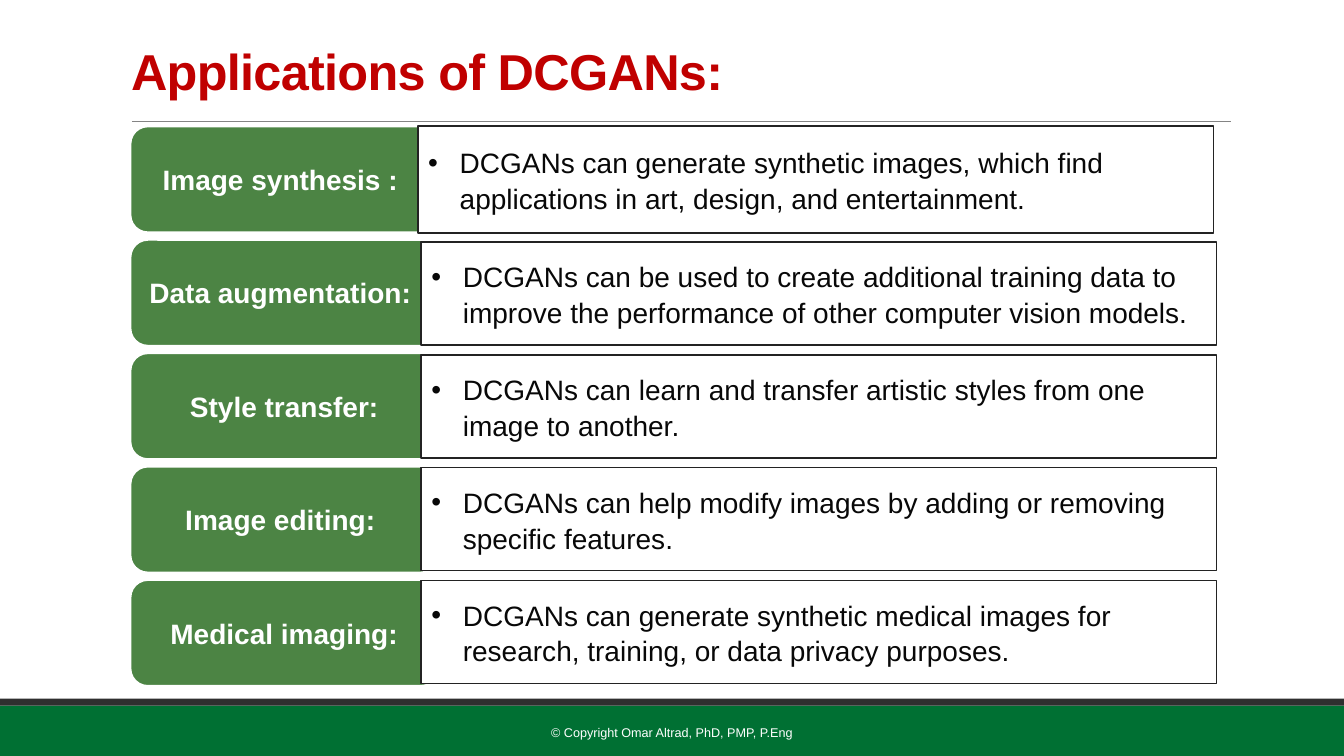
from lxml import etree
from pptx import Presentation
from pptx.dml.color import RGBColor
from pptx.enum import shapes, text
from pptx.oxml import ns
from pptx.util import Pt

TITLE = "Applications of DCGANs:"
COPYRIGHT = "© Copyright Omar Altrad, PhD, PMP, P.Eng"
APPLICATIONS = [
    ("Image synthesis : ", "DCGANs can generate synthetic images, which find applications in art, design, and entertainment."),
    ("Data augmentation: ", "DCGANs can be used to create additional training data to improve the performance of other computer vision models."),
    ("Style transfer:", "DCGANs can learn and transfer artistic styles from one image to another."),
    ("Image editing: ", "DCGANs can help modify images by adding or removing specific features."),
    ("Medical imaging:", "DCGANs can generate synthetic medical images for research, training, or data privacy purposes."),
]
WIDTH, HEIGHT = 960, 540
LABEL_LEFT, LABEL_TOP, LABEL_WIDTH, LABEL_HEIGHT, LABEL_PITCH = 92.9, 90, 220.3, 76.3, 81
USE_LEFT, USE_TOP, USE_WIDTH, USE_HEIGHT, USE_PITCH = 301, 92.1, 568, 73.6, 80.64
FIRST_USE = (298.8, 90, USE_WIDTH, LABEL_HEIGHT)
BULLET_INDENT = 22.5


def color(value):
    return RGBColor.from_string(value)


def place(shape, bounds):
    shape.left, shape.top, shape.width, shape.height = map(Pt, bounds)


def write(shape, words, size, ink, bold=False, align=text.PP_ALIGN.LEFT):
    frame = shape.text_frame
    frame.word_wrap = True
    frame.vertical_anchor = text.MSO_ANCHOR.MIDDLE
    para = frame.paragraphs[0]
    para.text = words
    para.alignment = align
    para.font.name = "Arial"
    para.font.size = Pt(size)
    para.font.bold = bold
    para.font.color.rgb = color(ink)
    return para


def add_box(page, kind, bounds, fill, line=None, line_width=0):
    box = page.shapes.add_shape(kind, *map(Pt, bounds))
    box.shadow.inherit = False
    box.fill.solid()
    box.fill.fore_color.rgb = color(fill)
    if line:
        box.line.color.rgb = color(line)
        box.line.width = Pt(line_width)
    else:
        box.line.fill.background()
    return box


def add_bullet(para):
    props = para._p.get_or_add_pPr()
    props.set("marL", str(Pt(BULLET_INDENT)))
    props.set("indent", str(-Pt(BULLET_INDENT)))
    bullet_font = etree.Element(ns.qn("a:buFont"), typeface="Arial")
    bullet = etree.Element(ns.qn("a:buChar"), char="•")
    spacing = props.find(ns.qn("a:lnSpc"))
    spacing.addnext(bullet_font)
    bullet_font.addnext(bullet)


def add_frame(page):
    rect = shapes.MSO_SHAPE.RECTANGLE
    add_box(page, rect, (0, 504, WIDTH, 36), "007033")
    add_box(page, rect, (0, 499, WIDTH, 5), "2F2F2F")
    rule = page.shapes.add_connector(
        shapes.MSO_CONNECTOR.STRAIGHT, Pt(94.3), Pt(86.6), Pt(879), Pt(86.6))
    rule.line.color.rgb = color("848484")
    rule.line.width = Pt(0.5)
    etree.SubElement(rule._element.spPr, ns.qn("a:effectLst"))
    footer = page.shapes.add_textbox(Pt(290.2), Pt(508.5), Pt(379.4), Pt(28.8))
    write(footer, COPYRIGHT, 9, "FFFFFF", align=text.PP_ALIGN.CENTER)


def add_title(page):
    title = page.shapes.title
    place(title, (86.4, 22.3, 792, 62))
    para = write(title, TITLE, 36, "C00000", bold=True)
    para.line_spacing = 0.85
    para.runs[0].font._element.set("spc", "-50")


def add_application(page, row, name, use):
    label_bounds = (LABEL_LEFT, LABEL_TOP + row * LABEL_PITCH, LABEL_WIDTH, LABEL_HEIGHT)
    label = add_box(page, shapes.MSO_SHAPE.ROUNDED_RECTANGLE, label_bounds, "4C8444", "FFFFFF", 2)
    write(label, name, 20, "FFFFFF", bold=True, align=text.PP_ALIGN.CENTER)
    use_bounds = (USE_LEFT, USE_TOP + row * USE_PITCH, USE_WIDTH, USE_HEIGHT) if row else FIRST_USE
    box = add_box(page, shapes.MSO_SHAPE.RECTANGLE, use_bounds, "FFFFFF", "232323", 1.25)
    para = write(box, use, 20, "080808")
    para.line_spacing = 1.06
    add_bullet(para)


def main():
    deck = Presentation()
    deck.slide_width, deck.slide_height = Pt(WIDTH), Pt(HEIGHT)
    page = deck.slides.add_slide(deck.slide_layouts[5])
    add_frame(page)
    add_title(page)
    for row, (name, use) in enumerate(APPLICATIONS):
        add_application(page, row, name, use)
    deck.save("out.pptx")


if __name__ == "__main__":
    main()
